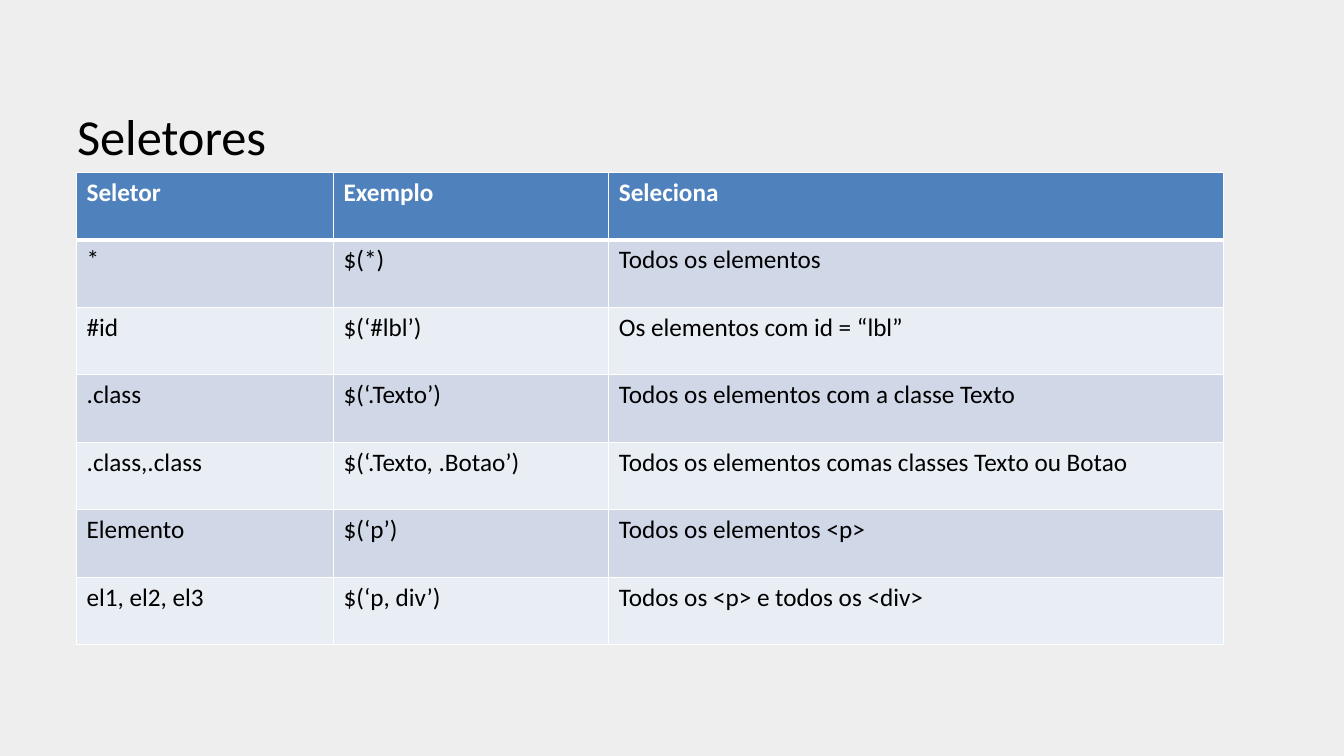
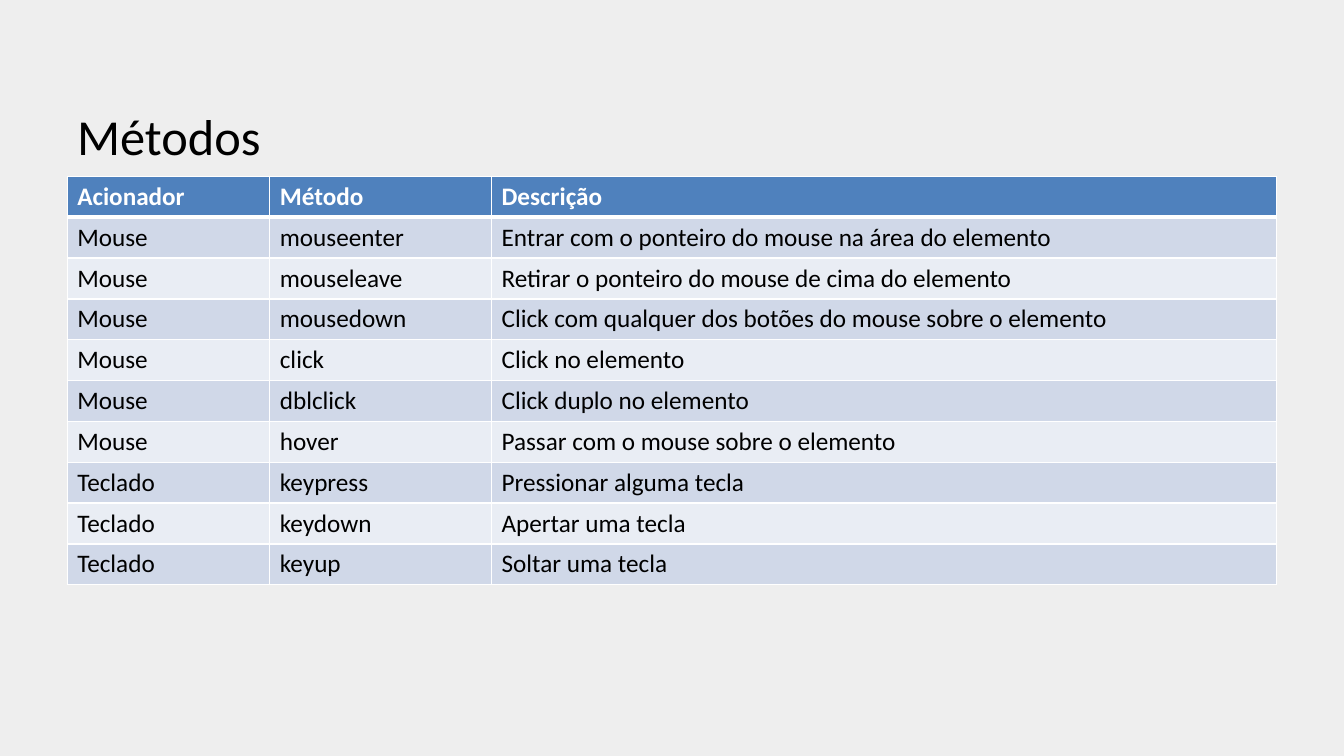
from dataclasses import dataclass

from lxml import etree
from pptx import Presentation
from pptx.dml.color import RGBColor
from pptx.enum.text import MSO_ANCHOR
from pptx.oxml.ns import qn
from pptx.util import Inches, Pt

BOTTOM = MSO_ANCHOR.BOTTOM
BLANK_LAYOUT = 6
COLUMNS, ROWS = 40, 30


@dataclass(frozen=True)
class Theme:
    """Colours, font, type sizes and line widths shared by all slides."""
    font: str = "Calibri"
    background: str = "EEEEEE"
    ink: str = "000000"
    light: str = "FFFFFF"
    header: str = "4F81BD"
    bands: tuple = ("D0D8E8", "E9EDF4")
    title_size: int = 36
    table_size: int = 18
    rule: int = 1
    header_rule: int = 3


THEME = Theme()
TITLE_BOX = (2, 1.56, 36, 5)

SELECTORS = [
    ("Seletor", "Exemplo", "Seleciona"),
    ("*", "$(*)", "Todos os elementos"),
    ("#id", "$(‘#lbl’)", "Os elementos com id = “lbl”"),
    (".class", "$(‘.Texto’)", "Todos os elementos com a classe Texto"),
    (".class,.class", "$(‘.Texto, .Botao’)", "Todos os elementos comas classes Texto ou Botao"),
    ("Elemento", "$(‘p’)", "Todos os elementos <p>"),
    ("el1, el2, el3", "$(‘p, div’)", "Todos os <p> e todos os <div>"),
]

METHODS = [
    ("Acionador", "Método", "Descrição"),
    ("Mouse", "mouseenter", "Entrar com o ponteiro do mouse na área do elemento"),
    ("Mouse", "mouseleave", "Retirar o ponteiro do mouse de cima do elemento"),
    ("Mouse", "mousedown", "Click com qualquer dos botões do mouse sobre o elemento"),
    ("Mouse", "click", "Click no elemento"),
    ("Mouse", "dblclick", "Click duplo no elemento"),
    ("Mouse", "hover", "Passar com o mouse sobre o elemento"),
    ("Teclado", "keypress", "Pressionar alguma tecla"),
    ("Teclado", "keydown", "Apertar uma tecla"),
    ("Teclado", "keyup", "Soltar uma tecla"),
]


def place(deck, box):
    """Turn a box in grid columns and rows into slide lengths."""
    column, row = deck.slide_width / COLUMNS, deck.slide_height / ROWS
    left, top, width, height = box
    return [round(n) for n in (left * column, top * row, width * column, height * row)]


def write(frame, text, size, color=THEME.ink, bold=False):
    """Write one formatted span into the first paragraph of a text frame."""
    span = frame.paragraphs[0].add_run()
    span.text = text
    span.font.name = THEME.font
    span.font.size = Pt(size)
    span.font.bold = bold
    span.font.color.rgb = RGBColor.from_string(color)


def add_borders(cell, top, bottom):
    """Draw the four borders of a cell, with the given top and bottom widths."""
    properties = cell._tc.get_or_add_tcPr()
    for side, width in (("L", THEME.rule), ("R", THEME.rule), ("T", top), ("B", bottom)):
        line = etree.SubElement(properties, qn(f"a:ln{side}"), w=str(Pt(width)))
        fill = etree.SubElement(line, qn("a:solidFill"))
        etree.SubElement(fill, qn("a:srgbClr"), val=THEME.light)


def add_title(deck, page, text, box):
    """Add the title, resting on the bottom of its box."""
    frame = page.shapes.add_textbox(*place(deck, box)).text_frame
    frame.word_wrap = True
    frame.vertical_anchor = BOTTOM
    frame.margin_bottom = 0
    write(frame, text, size=THEME.title_size)


def add_banded_table(deck, page, records, box, shares):
    """Fill a box with a table of equal rows, one header and alternating bands."""
    left, top, width, height = place(deck, box)
    table = page.shapes.add_table(len(records), len(shares), left, top, width, height).table
    for column, share in zip(table.columns, shares):
        column.width = round(width * share / sum(shares))
    for index, record in enumerate(records):
        table.rows[index].height = round(height / len(records))
        is_header = index == 0
        fill = THEME.header if is_header else THEME.bands[(index - 1) % 2]
        for position, text in enumerate(record):
            cell = table.cell(index, position)
            add_borders(
                cell,
                top=THEME.header_rule if index == 1 else THEME.rule,
                bottom=THEME.header_rule if is_header else THEME.rule,
            )
            cell.fill.solid()
            cell.fill.fore_color.rgb = RGBColor.from_string(fill)
            write(cell.text_frame, text, size=THEME.table_size,
                  color=THEME.light if is_header else THEME.ink, bold=is_header)


def add_table_page(deck, title, records, box, shares):
    """Add a slide with a title above a banded table."""
    page = deck.slides.add_slide(deck.slide_layouts[BLANK_LAYOUT])
    page.background.fill.solid()
    page.background.fill.fore_color.rgb = RGBColor.from_string(THEME.background)
    add_banded_table(deck, page, records, box, shares)
    add_title(deck, page, title, TITLE_BOX)


def main():
    """Build and save the deck."""
    deck = Presentation()
    deck.slide_width, deck.slide_height = Inches(40 / 3), Inches(7.5)
    add_table_page(deck, "Seletores", SELECTORS, (2.28, 6.84, 34.14, 18.76), (2.55, 2.73, 6.1))
    add_table_page(deck, "Métodos", METHODS, (2, 7, 36, 16.22), (2.01, 2.2, 7.79))
    deck.save("out.pptx")


if __name__ == "__main__":
    main()
